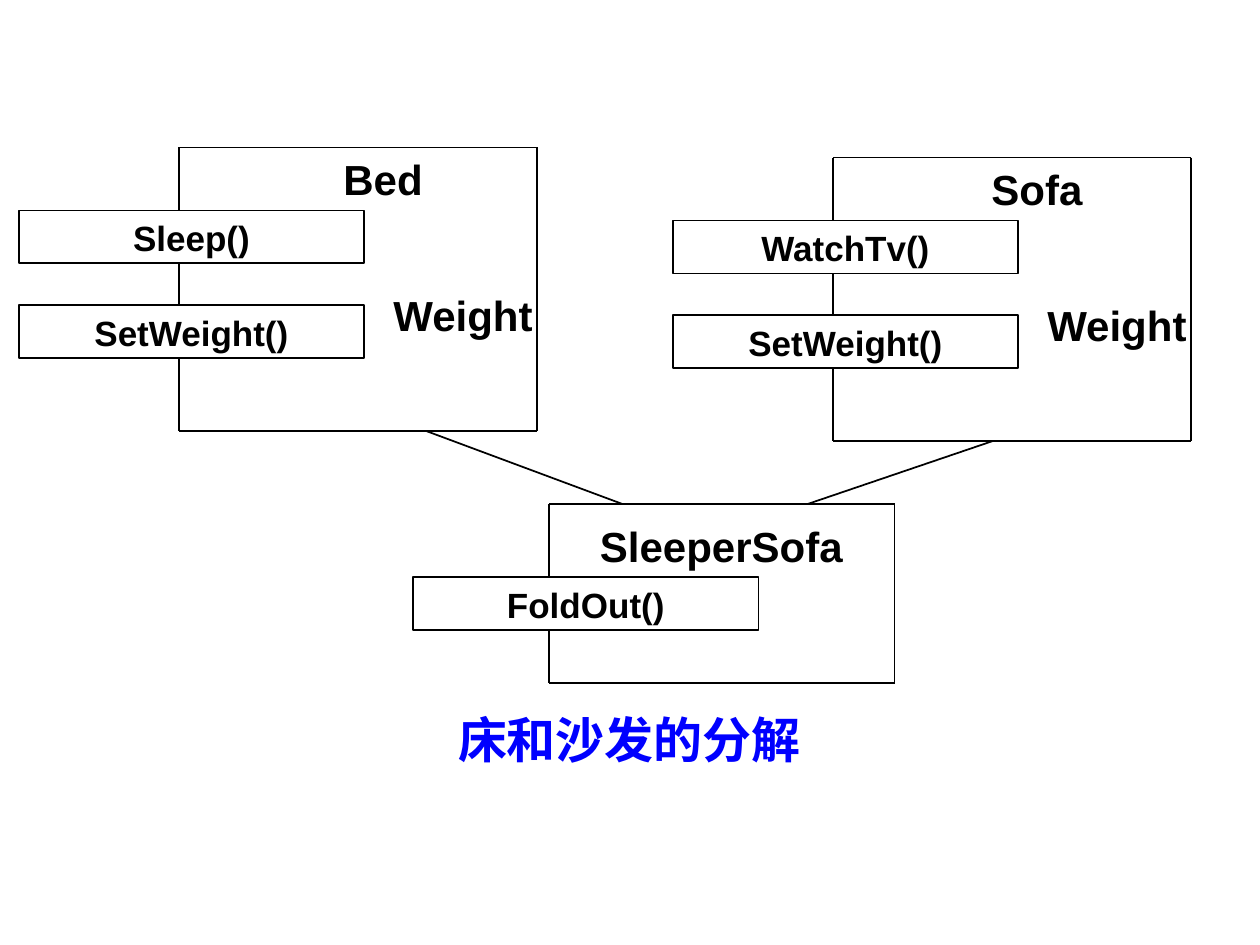
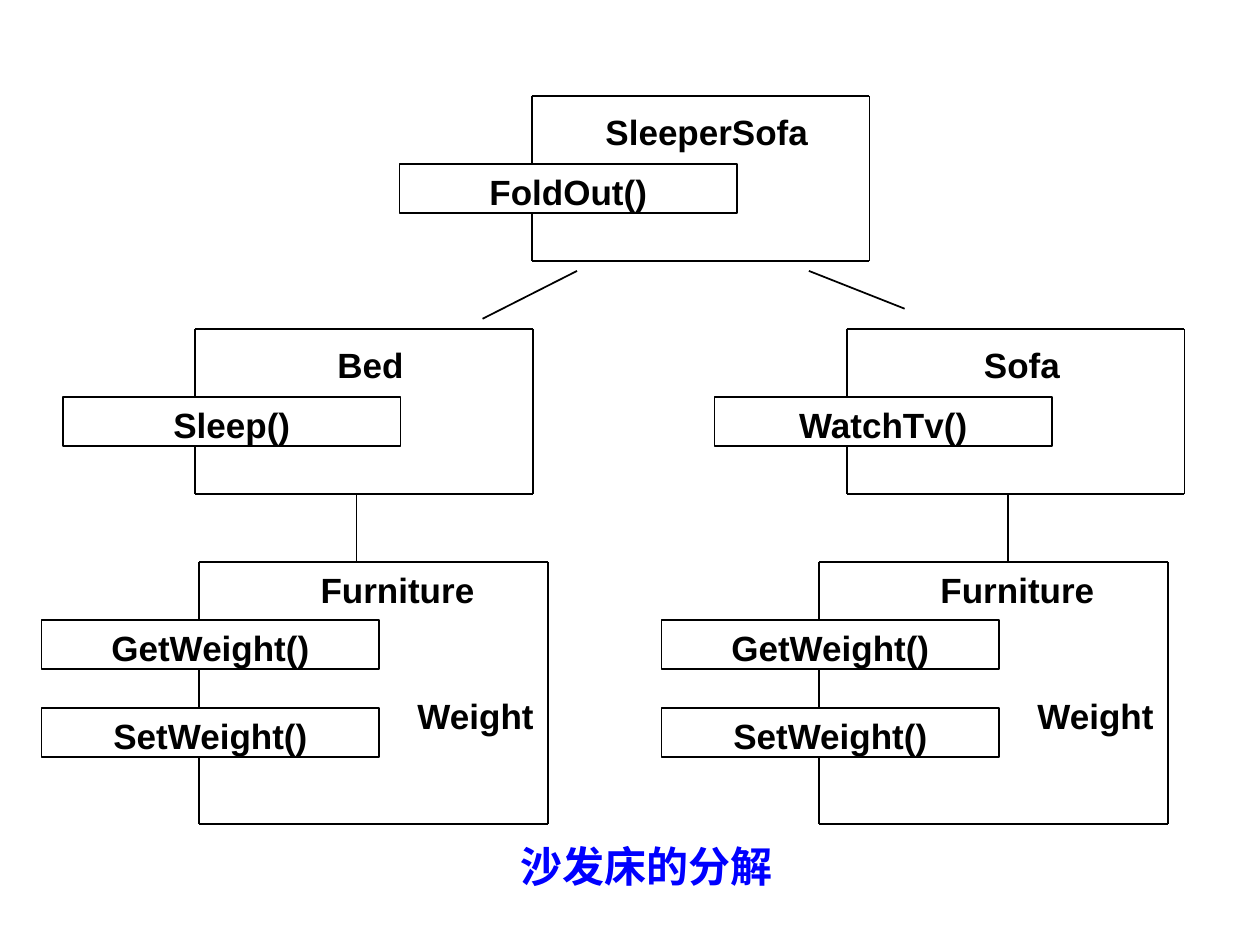
from collections import namedtuple
from itertools import pairwise

from lxml import etree
from pptx import Presentation
from pptx.dml.color import RGBColor
from pptx.enum import shapes, text
from pptx.oxml import ns
from pptx.util import Inches, Pt

FONT = "Arial"
BLACK, BLUE = "000000", "0000FF"
LINE_WIDTH = 1
METHOD_SIZE = 20

Kind = namedtuple("Kind", "frame method step name attribute")

DIAGRAMS = [
    {
        "caption": ("床和沙发的分解", (2.01, 5.58, 5.97, 0.57), 28),
        "label_size": 24,
        "label_height": 0.5,
        "method_box": (2.74, 0.42),
        "kinds": {
            "furniture": Kind((2.84, 2.25), (-1.27, 0.5), 0.75,
                              (0.59, 0, 2.06), (1.47, 1.08, 1.57)),
            "combined": Kind((2.74, 1.42), (-1.08, 0.58), 0,
                             (0.29, 0.08, 2.15), None),
        },
        "classes": [
            ("Bed", "furniture", (1.42, 1.17), ["Sleep()", "SetWeight()"], "Weight"),
            ("Sofa", "furniture", (6.61, 1.25), ["WatchTv()", "SetWeight()"], "Weight"),
            ("SleeperSofa", "combined", (4.36, 4), ["FoldOut()"], None),
        ],
        "links": [
            ((7.88, 3.5), (6.41, 4)),
            ((3.38, 3.42), (4.94, 4)),
        ],
    },
    {
        "caption": ("沙发床的分解", (2.21, 6.62, 5.84, 0.5), 24),
        "label_size": 20,
        "label_height": 0.44,
        "method_box": (2.68, 0.39),
        "kinds": {
            "base": Kind((2.77, 2.08), (-1.25, 0.46), 0.7,
                         (0.57, 0, 2.01), (1.43, 1, 1.53)),
            "derived": Kind((2.68, 1.31), (-1.05, 0.54), 0,
                            (0.48, 0.07, 1.82), None),
            "combined": Kind((2.68, 1.31), (-1.05, 0.54), 0,
                             (0.29, 0.07, 2.2), None),
        },
        "classes": [
            ("Furniture", "base", (1.58, 4.46), ["GetWeight()", "SetWeight()"], "Weight"),
            ("Furniture", "base", (6.5, 4.46), ["GetWeight()", "SetWeight()"], "Weight"),
            ("Bed", "derived", (1.55, 2.61), ["Sleep()"], None),
            ("Sofa", "derived", (6.72, 2.61), ["WatchTv()"], None),
            ("SleeperSofa", "combined", (4.22, 0.76), ["FoldOut()"], None),
        ],
        "links": [
            ((2.83, 3.92), (2.83, 4.46)),
            ((8, 3.92), (8, 4.46)),
            ((4.58, 2.15), (3.83, 2.53)),
            ((6.42, 2.15), (7.18, 2.45)),
        ],
    },
]


def color(value):
    return RGBColor.from_string(value)


def inches(values):
    return [Inches(value) for value in values]


def write(box, words, size, ink=BLACK):
    frame = box.text_frame
    frame.text = words
    frame.word_wrap = True
    frame.auto_size = text.MSO_AUTO_SIZE.NONE
    frame.vertical_anchor = text.MSO_ANCHOR.TOP
    para = frame.paragraphs[0]
    para.alignment = text.PP_ALIGN.CENTER
    para.line_spacing = 1.0
    para.space_before = Pt(0)
    font = para.runs[0].font
    font.name, font.size, font.bold = FONT, Pt(size), True
    font.color.rgb = color(ink)


def stroke(shape):
    shape.line.color.rgb = color(BLACK)
    shape.line.width = Pt(LINE_WIDTH)


def add_label(page, place, words, size):
    write(page.shapes.add_textbox(*inches(place)), words, size)


def add_method(page, place, words):
    box = page.shapes.add_shape(shapes.MSO_SHAPE.RECTANGLE, *inches(place))
    box.shadow.inherit = False
    box.fill.background()
    stroke(box)
    write(box, words, METHOD_SIZE)


def add_line(page, start, end):
    line = page.shapes.add_connector(
        shapes.MSO_CONNECTOR.STRAIGHT, *inches(start + end))
    stroke(line)
    etree.SubElement(line._element.spPr, ns.qn("a:effectLst"))


def add_frame(page, corner, size, method_tops, method_height):
    left, top = corner
    right, bottom = left + size[0], top + size[1]
    corners = [(left, top), (right, top), (right, bottom), (left, bottom)]
    for start, end in pairwise(corners):
        add_line(page, start, end)
    gap_starts = [top] + [y + method_height for y in method_tops]
    for start, end in zip(gap_starts, method_tops + [bottom]):
        add_line(page, (left, start), (left, end))


def add_class(page, diagram, name, kind_name, corner, methods, attribute):
    kind = diagram["kinds"][kind_name]
    size, height = diagram["label_size"], diagram["label_height"]
    method_box = diagram["method_box"]
    left, top = corner
    dx, dy = kind.method
    method_tops = [top + dy + row * kind.step for row in range(len(methods))]
    for method, method_top in zip(methods, method_tops):
        add_method(page, (left + dx, method_top, *method_box), method)
    add_frame(page, corner, kind.frame, method_tops, method_box[1])
    for words, spot in ((name, kind.name), (attribute, kind.attribute)):
        if words:
            dx, dy, width = spot
            add_label(page, (left + dx, top + dy, width, height), words, size)


def add_caption(page, words, place, size):
    title = page.shapes.title
    title.left, title.top, title.width, title.height = inches(place)
    write(title, words, size, BLUE)


def main():
    deck = Presentation()
    deck.slide_width, deck.slide_height = inches((10, 7.5))
    for diagram in DIAGRAMS:
        page = deck.slides.add_slide(deck.slide_layouts[5])
        for item in diagram["classes"]:
            add_class(page, diagram, *item)
        for start, end in diagram["links"]:
            add_line(page, start, end)
        add_caption(page, *diagram["caption"])
    deck.save("out.pptx")


if __name__ == "__main__":
    main()
